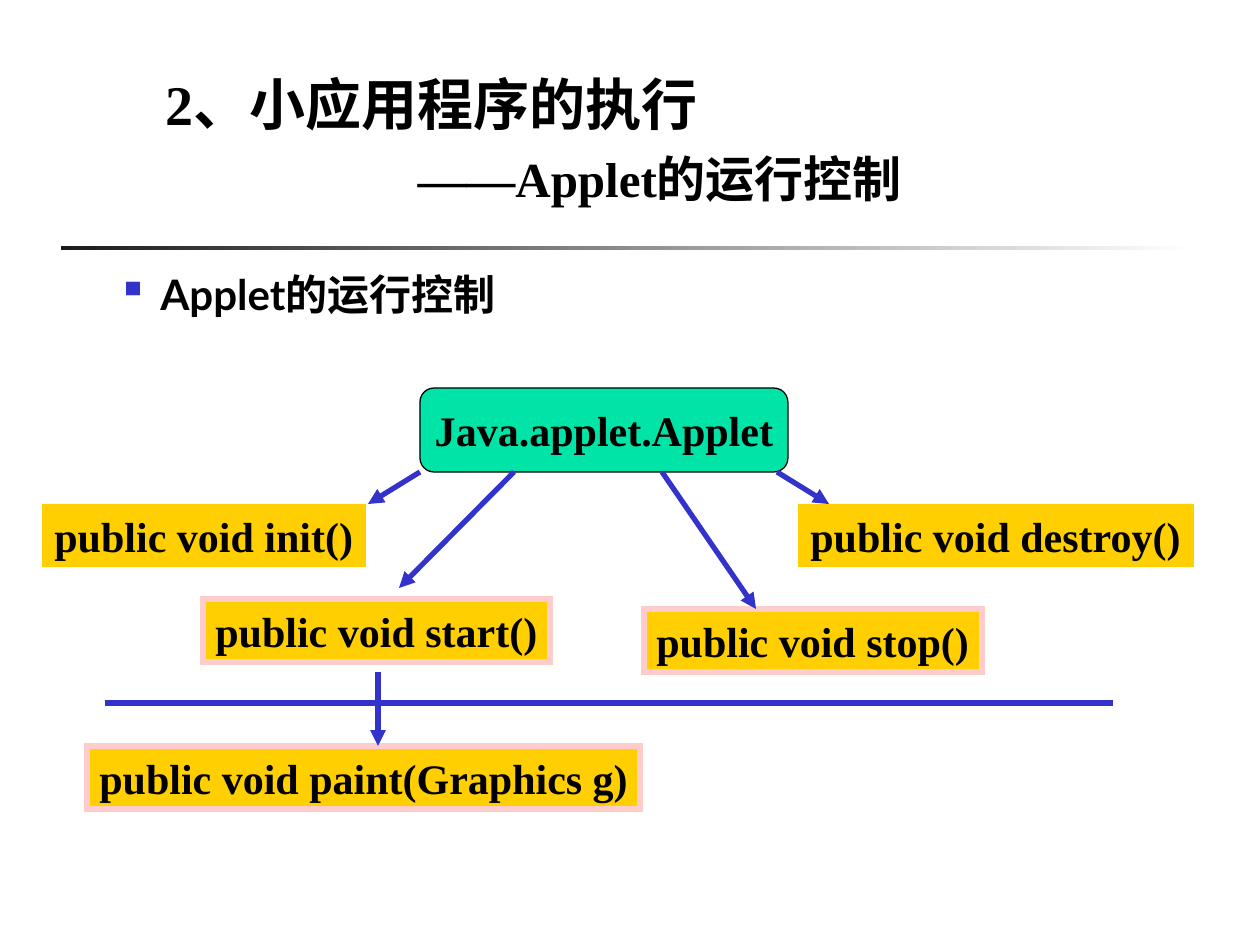
import pptx
import pptx.util
import pptx.dml.color
import pptx.enum.shapes
import pptx.enum.text
import pptx.oxml
import pptx.oxml.ns
from dataclasses import dataclass

SHAPES = pptx.enum.shapes.MSO_SHAPE
ANCHOR = pptx.enum.text.MSO_ANCHOR
ALIGN = pptx.enum.text.PP_ALIGN


@dataclass(frozen=True)
class Theme:
    serif: str = "Times New Roman"
    sans: str = "Lato"
    ink: str = "000000"
    accent: str = "3333CC"
    root: str = "00E4A8"
    method: str = "FFCF01"
    border: str = "FFCCCC"
    rule: tuple = ("1C1C1C", "FFFFFF")
    title: int = 32
    subtitle: int = 28
    body: int = 24
    stroke: int = 3


THEME = Theme()


def px(length):
    """Turn pixels (126 to the inch) into EMU."""
    return pptx.util.Emu(round(length * 914400 / 126))


def rgb(value):
    return pptx.dml.color.RGBColor.from_string(value)


def place(shape, left, top, width, height):
    shape.left, shape.top = px(left), px(top)
    shape.width, shape.height = px(width), px(height)


def add_xml(parent, markup):
    parent.append(pptx.oxml.parse_xml(
        markup.replace("/>", f" {pptx.oxml.ns.nsdecls('a')}/>", 1)))


def style(para, size, font=THEME.serif, align=ALIGN.LEFT):
    para.alignment = align
    para.font.name = font
    para.font.size = pptx.util.Pt(size)
    para.font.bold = True
    para.font.color.rgb = rgb(THEME.ink)


def set_frame(frame, anchor=ANCHOR.TOP, wrap=False):
    frame.word_wrap = wrap
    frame.vertical_anchor = anchor


def add_title(page, lines):
    title = page.shapes.title
    place(title, 153, 63, 900, 151)
    frame = title.text_frame
    set_frame(frame, wrap=True)
    frame.text = "\n".join(lines)
    first, second = frame.paragraphs
    style(first, THEME.title)
    style(second, THEME.subtitle)
    second.space_before = pptx.util.Pt(7)
    second._p.get_or_add_pPr().set("marL", str(px(252)))


def add_rule(page):
    rule = page.shapes.add_shape(SHAPES.RECTANGLE, px(61), px(246), px(1134), px(4))
    rule.shadow.inherit = False
    rule.line.fill.background()
    rule.fill.gradient()
    rule.fill.gradient_angle = 0
    for stop, color in zip(rule.fill.gradient_stops, THEME.rule):
        stop.color.rgb = rgb(color)


def add_bullet(page, text):
    box = page.shapes.add_textbox(px(105), px(262), px(480), px(63))
    set_frame(box.text_frame, wrap=True)
    para = box.text_frame.paragraphs[0]
    para.text = text
    props = para._p.get_or_add_pPr()
    props.set("marL", str(px(43)))
    props.set("indent", str(-px(43)))
    add_xml(props, "<a:buClr/>")
    add_xml(props[-1], f'<a:srgbClr val="{THEME.accent}"/>')
    add_xml(props, '<a:buSzPct val="100000"/>')
    add_xml(props, '<a:buChar char="▪"/>')
    style(para, THEME.body, THEME.sans)


def add_box(page, text, frame, fill, kind=SHAPES.RECTANGLE, line=None,
            anchor=ANCHOR.TOP, align=ALIGN.LEFT):
    box = page.shapes.add_shape(kind, *map(px, frame))
    box.shadow.inherit = False
    box.fill.solid()
    box.fill.fore_color.rgb = rgb(fill)
    if line:
        color, width = line
        box.line.color.rgb = rgb(color)
        box.line.width = pptx.util.Pt(width)
        add_xml(box.line._get_or_add_ln(), '<a:miter lim="800000"/>')
    else:
        box.line.fill.background()
    set_frame(box.text_frame, anchor)
    para = box.text_frame.paragraphs[0]
    para.text = text
    style(para, THEME.body, align=align)


def add_line(page, start, end, arrow=True):
    line = page.shapes.add_connector(
        pptx.enum.shapes.MSO_CONNECTOR.STRAIGHT, *map(px, start + end))
    line.line.color.rgb = rgb(THEME.accent)
    line.line.width = pptx.util.Pt(THEME.stroke)
    if arrow:
        add_xml(line.line._get_or_add_ln(), '<a:tailEnd type="triangle"/>')
    add_xml(line._element.spPr, "<a:effectLst/>")


def main():
    deck = pptx.Presentation()
    deck.slide_width, deck.slide_height = px(1260), px(945)
    page = deck.slides.add_slide(deck.slide_layouts[5])

    # Heading
    add_rule(page)
    add_title(page, ["2、小应用程序的执行", "——Applet的运行控制"])
    add_bullet(page, "Applet的运行控制")

    # Applet class and its life-cycle methods
    add_box(page, "Java.applet.Applet", (420, 388, 368, 84), THEME.root,
            SHAPES.ROUNDED_RECTANGLE, (THEME.ink, 0.75), ANCHOR.MIDDLE, ALIGN.CENTER)
    border = (THEME.border, THEME.stroke)
    methods = [
        ("init()", 42, 504, 324, None),
        ("destroy()", 798, 504, 396, None),
        ("start()", 203, 599, 347, border),
        ("stop()", 644, 609, 338, border),
        ("paint(Graphics g)", 87, 746, 553, border),
    ]
    for name, left, top, width, line in methods:
        add_box(page, f"public void {name}", (left, top, width, 63),
                THEME.method, line=line)

    # Divider and call arrows
    add_line(page, (105, 703), (1113, 703), arrow=False)
    arrows = [
        ((420, 472), (368, 504)),
        ((514, 472), (399, 588)),
        ((378, 672), (378, 746)),
        ((777, 472), (829, 504)),
        ((662, 472), (756, 609)),
    ]
    for start, end in arrows:
        add_line(page, start, end)

    deck.save("out.pptx")


if __name__ == "__main__":
    main()
